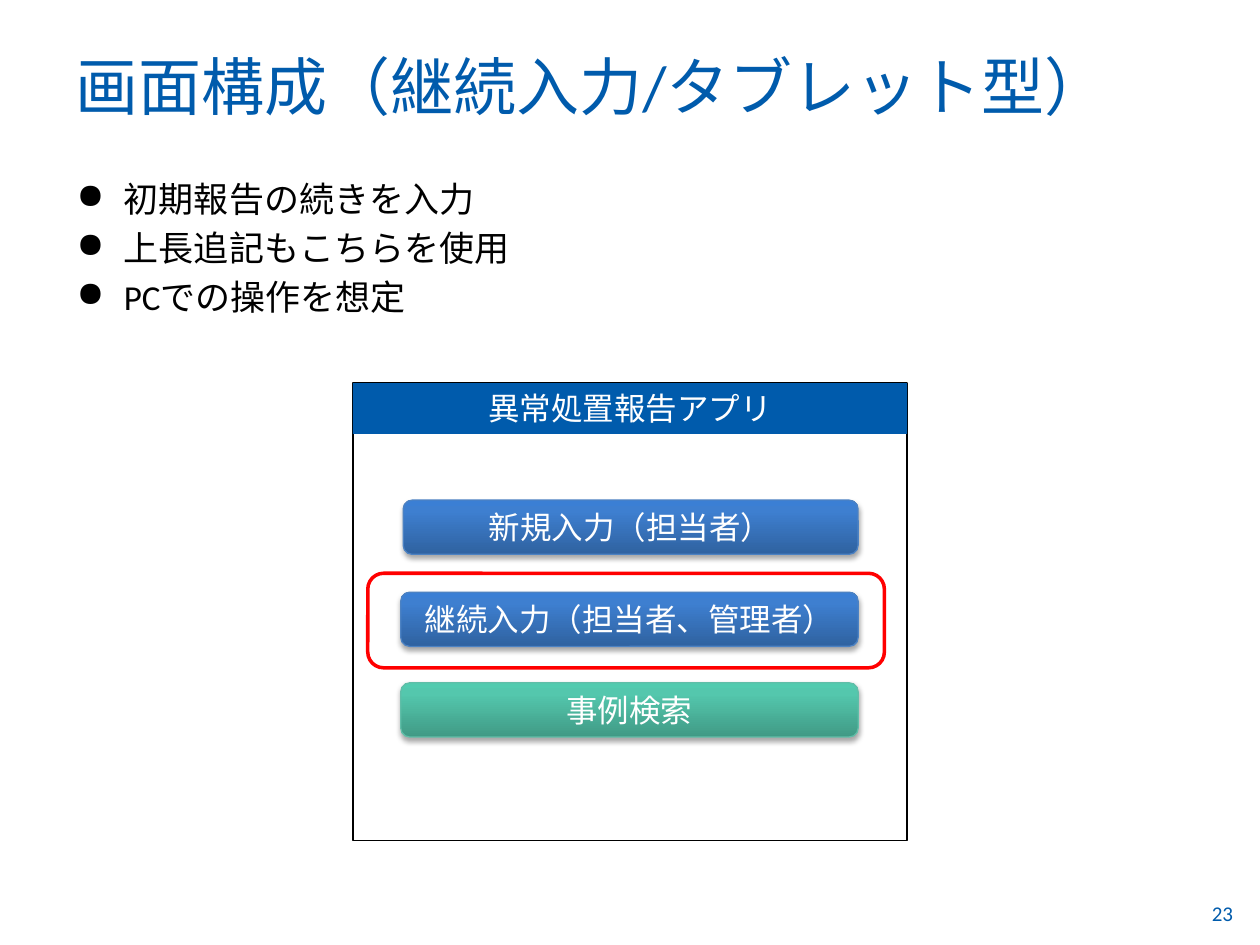
from dataclasses import dataclass

from lxml import etree
from pptx import Presentation
from pptx.dml.color import RGBColor
from pptx.enum.shapes import MSO_SHAPE
from pptx.enum.text import MSO_ANCHOR, MSO_AUTO_SIZE, PP_ALIGN
from pptx.oxml.ns import qn
from pptx.util import Pt

RECTANGLE = MSO_SHAPE.RECTANGLE
ROUNDED = MSO_SHAPE.ROUNDED_RECTANGLE
LEFT, CENTER = PP_ALIGN.LEFT, PP_ALIGN.CENTER
TOP, MIDDLE, BOTTOM = MSO_ANCHOR.TOP, MSO_ANCHOR.MIDDLE, MSO_ANCHOR.BOTTOM
GROW = MSO_AUTO_SIZE.SHAPE_TO_FIT_TEXT


@dataclass(frozen=True)
class Theme:
    font: str = "Calibri"
    blue: str = "005BAC"
    black: str = "000000"
    white: str = "FFFFFF"
    red: str = "FF0000"
    title_size: float = 36
    body_size: float = 20
    label_size: float = 18
    number_size: float = 12


@dataclass(frozen=True)
class Box:
    left: float
    top: float
    width: float
    height: float

    def lengths(self) -> list:
        return [Pt(value) for value in (self.left, self.top, self.width, self.height)]


@dataclass(frozen=True)
class Palette:
    stops: tuple
    outline: str


@dataclass(frozen=True)
class Button:
    label: str
    box: Box
    palette: Palette


THEME = Theme()
BLUE_PALETTE = Palette(((0, "2F62A0"), (80, "3E7FD0"), (100, "3B7FD4")), "4C82C3")
GREEN_PALETTE = Palette(((0, "409A85"), (80, "54C7AD"), (100, "52CBAF")), "60BEA8")

BULLETS = ("初期報告の続きを入力", "上長追記もこちらを使用", "PCでの操作を想定")
BUTTONS = (
    Button("新規入力（担当者）", Box(230.4, 285.8, 260, 31), BLUE_PALETTE),
    Button("継続入力（担当者、管理者）", Box(229, 338.4, 261.4, 31), BLUE_PALETTE),
    Button("事例検索", Box(229, 390.2, 261.4, 31), GREEN_PALETTE),
)


def write_text(shape, *lines: str, size: float, color: str, align=LEFT, anchor=TOP,
               bullet: str = "", indent: float = 0, space_before: float = 0) -> None:
    frame = shape.text_frame
    frame.word_wrap = True
    frame.vertical_anchor = anchor
    for index, line in enumerate(lines):
        para = frame.add_paragraph() if index else frame.paragraphs[0]
        para.alignment = align
        para.space_before = Pt(space_before)
        if bullet:
            properties = para._p.get_or_add_pPr()
            properties.set("marL", str(Pt(indent)))
            properties.set("indent", str(-Pt(indent)))
            etree.SubElement(properties, qn("a:buChar"), char=bullet)
        span = para.add_run()
        span.text = line
        span.font.name = THEME.font
        span.font.size = Pt(size)
        span.font.color.rgb = RGBColor.from_string(color)


def add_panel(page, kind, box: Box, fill: str = "", line: str = "", weight: float = 1):
    shape = page.shapes.add_shape(kind, *box.lengths())
    shape.shadow.inherit = False
    if fill:
        shape.fill.solid()
        shape.fill.fore_color.rgb = RGBColor.from_string(fill)
    else:
        shape.fill.background()
    if line:
        shape.line.color.rgb = RGBColor.from_string(line)
        shape.line.width = Pt(weight)
    else:
        shape.line.fill.background()
    return shape


def add_gradient(shape, palette: Palette) -> None:
    shape.fill.gradient()
    shape.fill.gradient_angle = 90
    stop_list = shape._element.spPr.find(".//" + qn("a:gsLst"))
    for stop in list(stop_list):
        stop_list.remove(stop)
    for position, color in palette.stops:
        stop = etree.SubElement(stop_list, qn("a:gs"), pos=str(position * 1000))
        etree.SubElement(stop, qn("a:srgbClr"), val=color)


def add_shadow(shape) -> None:
    effects = shape._element.spPr.find(qn("a:effectLst"))
    shadow = etree.SubElement(effects, qn("a:outerShdw"), blurRad=str(Pt(3.1)),
                              dist=str(Pt(1.8)), dir="5400000", rotWithShape="0")
    color = etree.SubElement(shadow, qn("a:srgbClr"), val=THEME.black)
    etree.SubElement(color, qn("a:alpha"), val="35000")


def add_button(page, button: Button) -> None:
    shape = add_panel(page, ROUNDED, button.box, line=button.palette.outline, weight=0.75)
    add_gradient(shape, button.palette)
    add_shadow(shape)
    write_text(shape, button.label, size=THEME.label_size, color=THEME.white,
               align=CENTER, anchor=MIDDLE)


def main() -> None:
    deck = Presentation()
    deck.slide_width, deck.slide_height = Pt(720), Pt(540)
    page = deck.slides.add_slide(deck.slide_layouts[6])

    number = page.shapes.add_textbox(*Box(685.4, 511.2, 34.6, 28.8).lengths())
    write_text(number, "23", size=THEME.number_size, color=THEME.blue)
    title = page.shapes.add_textbox(*Box(36, 18.7, 648, 55.4).lengths())
    write_text(title, "画面構成（継続入力/タブレット型）", size=THEME.title_size,
               color=THEME.blue, anchor=BOTTOM)
    body = page.shapes.add_textbox(*Box(36.7, 97.9, 648, 93.6).lengths())
    write_text(body, *BULLETS, size=THEME.body_size, color=THEME.black,
               bullet="●", indent=27, space_before=4)

    add_panel(page, RECTANGLE, Box(201.6, 218.9, 316.8, 261.4), line=THEME.black)
    header = add_panel(page, RECTANGLE, Box(201.6, 218.9, 316.8, 29), fill=THEME.blue)
    write_text(header, "異常処置報告アプリ", size=THEME.label_size, color=THEME.white,
               align=CENTER)
    header.text_frame.auto_size = GROW

    for button in BUTTONS:
        add_button(page, button)
    add_panel(page, ROUNDED, Box(210.2, 327.6, 295.2, 54), line=THEME.red, weight=2)

    deck.save("out.pptx")


if __name__ == "__main__":
    main()
